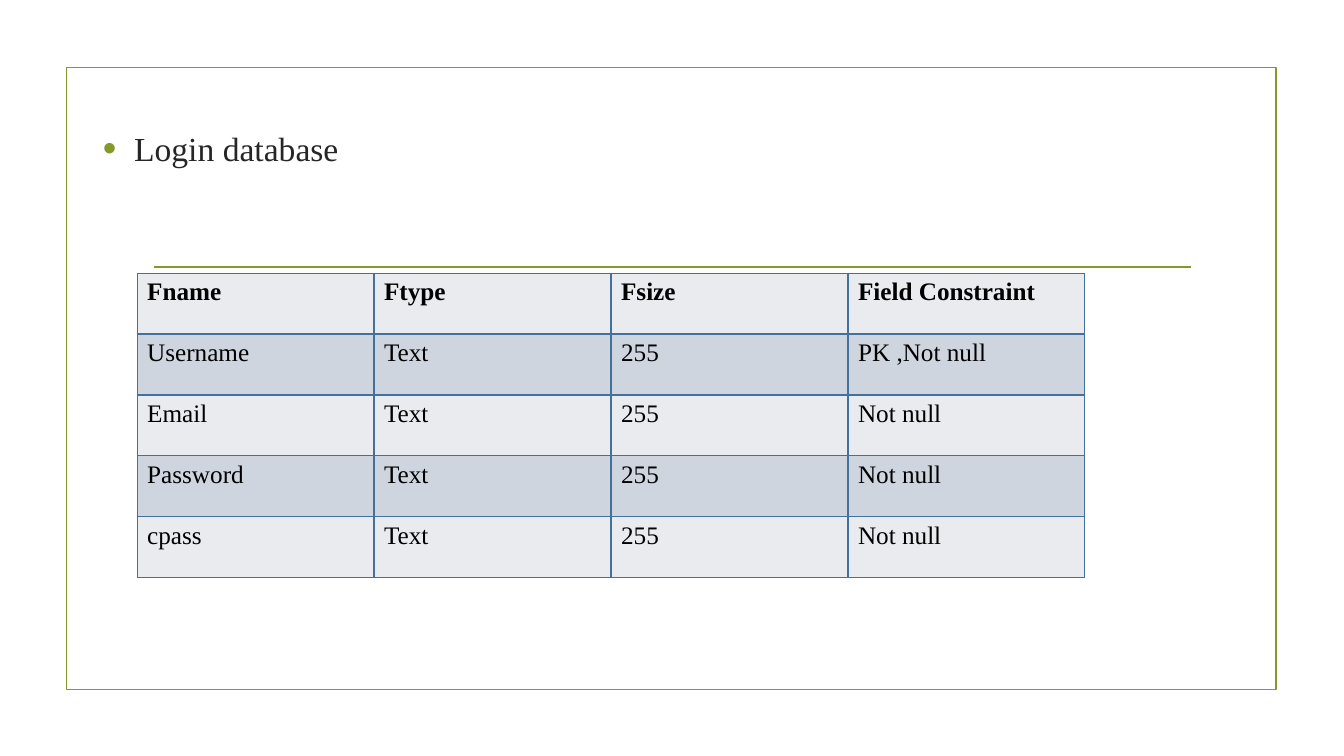
from dataclasses import dataclass

from lxml import etree
from pptx import Presentation
from pptx import util as u
from pptx.dml.color import RGBColor
from pptx.enum import shapes, text
from pptx.oxml import ns

OLIVE = RGBColor(0x83, 0x99, 0x2A)
CHARCOAL = RGBColor(0x26, 0x26, 0x26)
BLACK = RGBColor(0, 0, 0)
BORDER_BLUE = RGBColor(0x44, 0x70, 0x9D)
LIGHT_BAND = RGBColor(0xE9, 0xEB, 0xEF)
DARK_BAND = RGBColor(0xCF, 0xD5, 0xDF)
FONT = "Times New Roman"
RULE_WIDTH = u.Pt(1.25)


@dataclass
class Field:
    name: str
    kind: str
    size: str
    constraint: str

    def values(self) -> list[str]:
        return [self.name, self.kind, self.size, self.constraint]


FIELDS = [
    Field("Fname", "Ftype", "Fsize", "Field Constraint"),
    Field("Username", "Text", "255", "PK ,Not null"),
    Field("Email", "Text", "255", "Not null"),
    Field("Password", "Text", "255", "Not null"),
    Field("cpass", "Text", "255", "Not null"),
]


def add_element(parent, tag: str, **attributes: str):
    return etree.SubElement(parent, ns.qn(tag), attributes)


def style_run(run, size: float, color: RGBColor, bold: bool = False) -> None:
    run.font.name = FONT
    run.font.size = u.Pt(size)
    run.font.bold = bold
    run.font.color.rgb = color


def draw_frame(slide) -> None:
    frame = slide.shapes.add_shape(
        shapes.MSO_SHAPE.RECTANGLE,
        u.Inches(0.66), u.Inches(0.67), u.Inches(12), u.Inches(6.17),
    )
    frame.shadow.inherit = False
    frame.fill.background()
    frame.line.color.rgb = OLIVE
    frame.line.width = RULE_WIDTH


def draw_rule(slide) -> None:
    rule = slide.shapes.add_connector(
        shapes.MSO_CONNECTOR.STRAIGHT,
        u.Inches(1.53), u.Inches(2.65), u.Inches(11.81), u.Inches(2.65),
    )
    rule.line.color.rgb = OLIVE
    rule.line.width = RULE_WIDTH
    add_element(rule.element.spPr, "a:effectLst")


def write_heading(body) -> None:
    body.left, body.top = u.Inches(0.92), u.Inches(1.22)
    body.width, body.height = u.Inches(11.5), u.Inches(6.28)
    body.text_frame.text = "Login database"
    body.text_frame.auto_size = text.MSO_AUTO_SIZE.NONE
    paragraph = body.text_frame.paragraphs[0]
    paragraph.space_before = u.Pt(0)
    paragraph.space_after = u.Pt(6)
    properties = paragraph._p.get_or_add_pPr()
    properties.set("marL", str(u.Inches(0.31)))
    properties.set("indent", str(u.Inches(-0.31)))
    bullet_color = add_element(properties, "a:buClr")
    add_element(bullet_color, "a:srgbClr", val=str(OLIVE))
    add_element(properties, "a:buSzPct", val="115000")
    add_element(properties, "a:buFont", typeface="Arial")
    add_element(properties, "a:buChar", char="•")
    style_run(paragraph.runs[0], 24, CHARCOAL)


def draw_borders(cell) -> None:
    properties = cell._tc.get_or_add_tcPr()
    for side in ("a:lnL", "a:lnR", "a:lnT", "a:lnB"):
        border = add_element(properties, side, w=str(u.Pt(1)))
        fill = add_element(border, "a:solidFill")
        add_element(fill, "a:srgbClr", val=str(BORDER_BLUE))


def draw_table(slide, fields: list[Field]) -> None:
    table = slide.shapes.add_table(
        len(fields), len(fields[0].values()),
        u.Inches(1.36), u.Inches(2.71), u.Inches(9.4), u.Inches(3.02),
    ).table
    for row, field in enumerate(fields):
        for column, value in enumerate(field.values()):
            cell = table.cell(row, column)
            cell.text_frame.text = value
            style_run(cell.text_frame.paragraphs[0].runs[0], 18, BLACK, bold=row == 0)
            draw_borders(cell)
            cell.fill.solid()
            cell.fill.fore_color.rgb = DARK_BAND if row % 2 else LIGHT_BAND


def main() -> None:
    presentation = Presentation()
    presentation.slide_width = u.Inches(13.33)
    presentation.slide_height = u.Inches(7.5)
    slide = presentation.slides.add_slide(presentation.slide_layouts[1])
    title = slide.shapes.title.element
    title.getparent().remove(title)
    body = slide.placeholders[1]
    draw_frame(slide)
    draw_rule(slide)
    body.element.getparent().append(body.element)
    write_heading(body)
    draw_table(slide, FIELDS)
    presentation.save("out.pptx")


if __name__ == "__main__":
    main()
